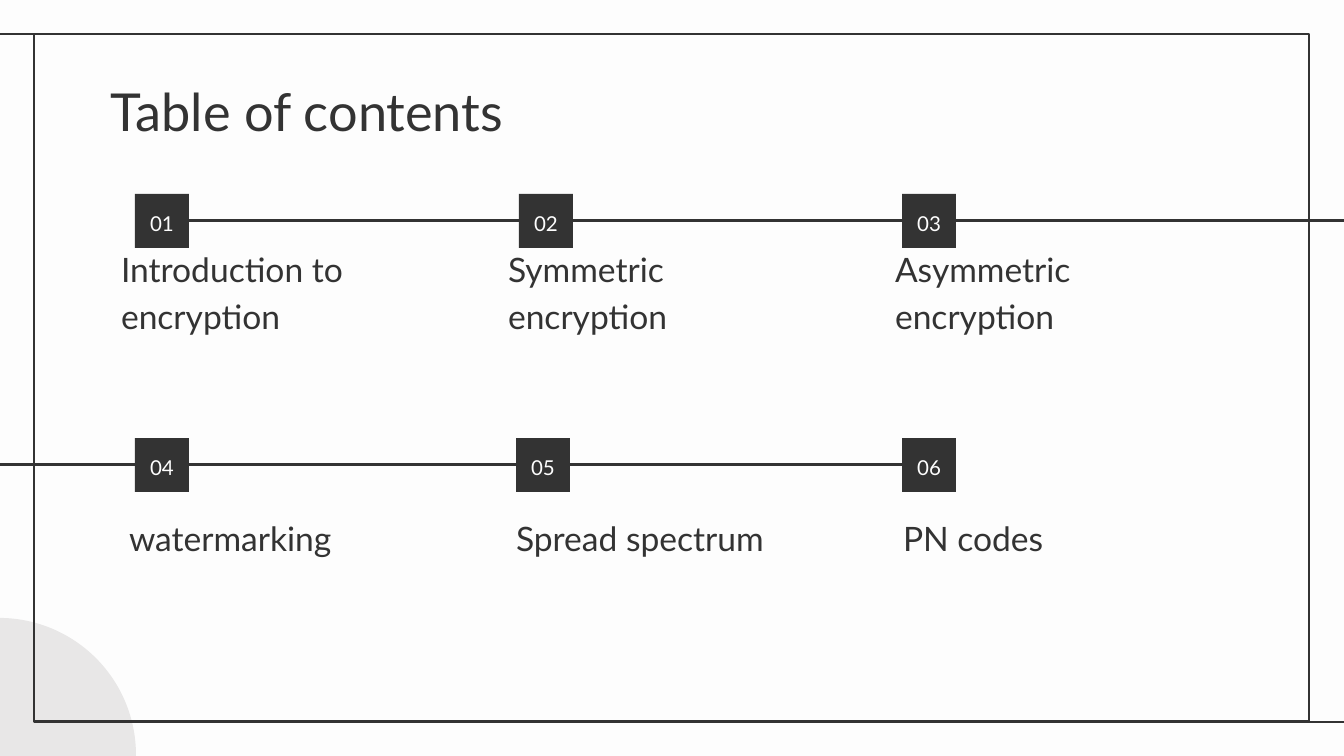
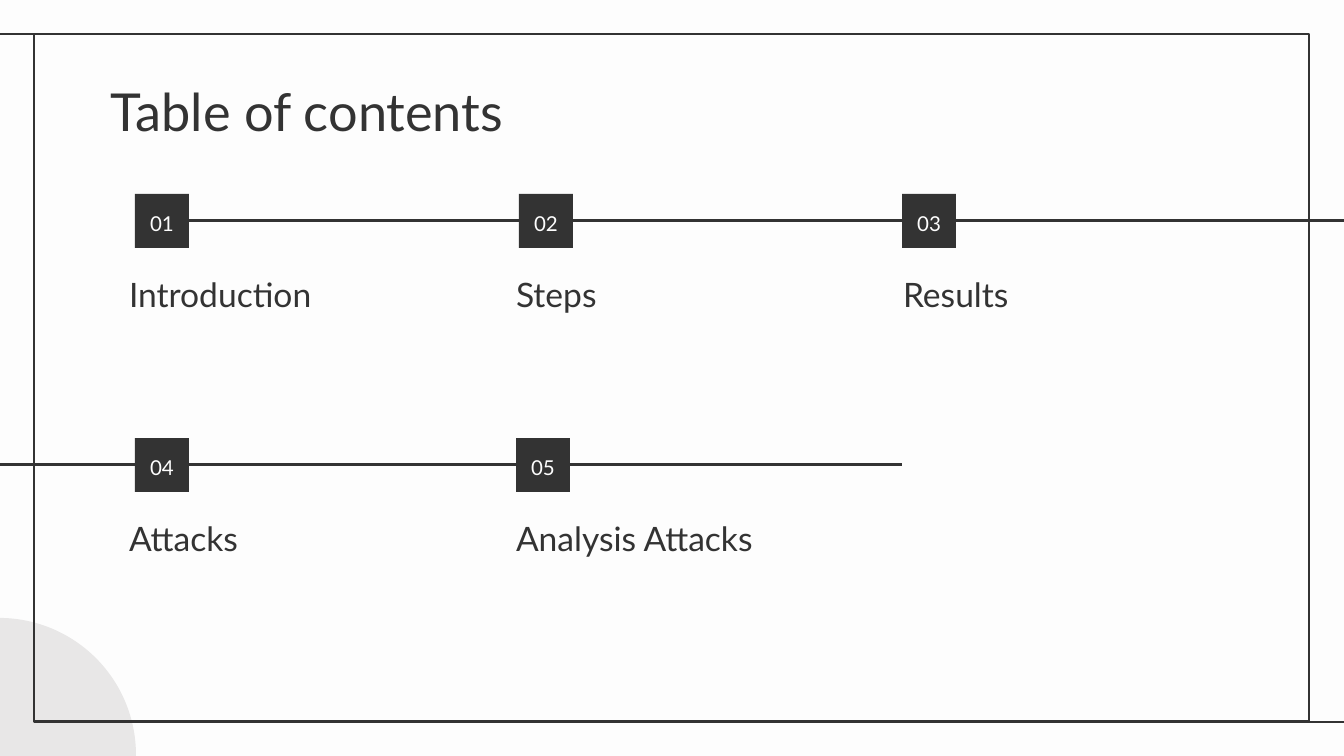
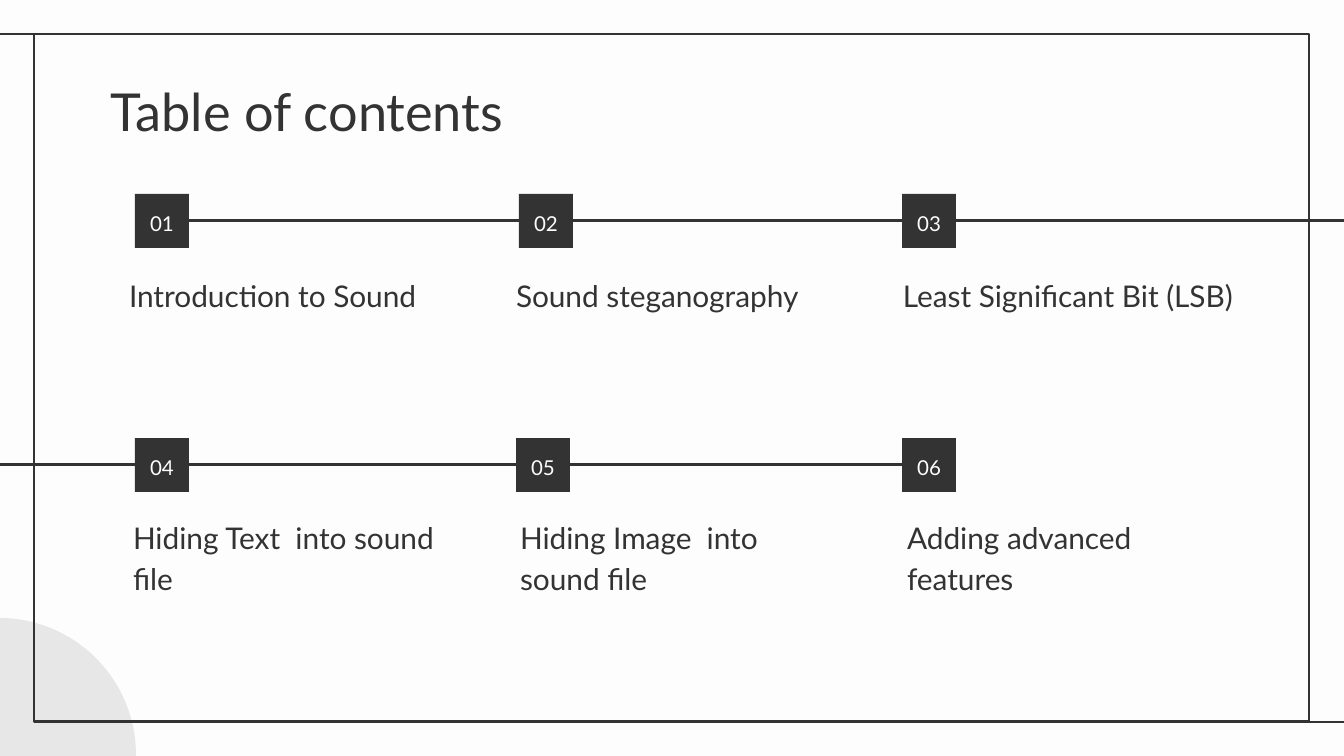
from lxml.etree import SubElement
from pptx import Presentation
from pptx.dml.color import RGBColor
from pptx.enum.shapes import MSO_CONNECTOR as Connector, MSO_SHAPE as Shape
from pptx.enum.text import MSO_ANCHOR as Anchor, PP_ALIGN as Align
from pptx.oxml.ns import qn
from pptx.util import Emu, Pt

TITLE = "Table of contents"
AGENDAS = [
    {
        "size": 18,
        "rows": [
            {"left": 108, "top": 293, "labels": ["Introduction to encryption", "Symmetric encryption", "Asymmetric encryption"]},
            {"left": 116, "top": 515, "labels": ["watermarking", "Spread spectrum", "PN codes"]},
        ],
    },
    {
        "size": 18,
        "rows": [
            {"left": 116, "top": 271, "labels": ["Introduction", "Steps", "Results"]},
            {"left": 116, "top": 515, "labels": ["Attacks", "Analysis Attacks"]},
        ],
    },
    {
        "size": 16,
        "rows": [
            {"left": 116, "top": 271, "labels": ["Introduction to Sound", "Sound steganography", "Least Significant Bit (LSB)"]},
            {"left": 120, "top": 554, "labels": ["Hiding Text  into sound file", "Hiding Image  into sound file", "Adding advanced features"]},
        ],
    },
]

DARK, LIGHT, GREY = "333333", "FDFDFD", "E8E7E7"
FONT = "Lato"
WIDTH, HEIGHT = 1344, 756
FRAME_LEFT, FRAME_TOP, FRAME_WIDTH, FRAME_HEIGHT = 34, 34, 1275, 688
FRAME_RIGHT, FRAME_BOTTOM = FRAME_LEFT + FRAME_WIDTH, FRAME_TOP + FRAME_HEIGHT
INSET = 13
BADGE = 54
LABEL_STEP, LABEL_WIDTH, WIDE_LABEL, LABEL_HEIGHT = 387, 339, 405, 56
LONG_LABEL = 25
TIMELINES = [
    {"badge_top": 194, "badge_lefts": [135, 519, 902], "line": (189, 1367)},
    {"badge_top": 438, "badge_lefts": [135, 516, 902], "line": (902, -24)},
]


def px(length):
    return Emu(round(length * 914400 / 134.4))


def color(value):
    return RGBColor.from_string(value)


def add_shape(slide, kind, left, top, width, height, fill=None, line=None):
    shape = slide.shapes.add_shape(kind, px(left), px(top), px(width), px(height))
    shape.shadow.inherit = False
    if fill:
        shape.fill.solid()
        shape.fill.fore_color.rgb = color(fill)
    else:
        shape.fill.background()
    if line:
        shape.line.color.rgb = color(line)
        shape.line.width = Pt(1.5)
    else:
        shape.line.fill.background()
    return shape


def add_line(slide, start, end, y):
    line = slide.shapes.add_connector(Connector.STRAIGHT, px(start), px(y), px(end), px(y))
    line.line.color.rgb = color(DARK)
    line.line.width = Pt(1.5)
    SubElement(line._element.spPr, qn("a:effectLst"))


def write(shape, text, size, ink=DARK, anchor=Anchor.TOP, align=Align.LEFT, spacing=1.15):
    frame = shape.text_frame
    frame.text = text
    frame.word_wrap = True
    frame.vertical_anchor = anchor
    frame.margin_left = frame.margin_right = frame.margin_top = frame.margin_bottom = px(INSET)
    paragraph = frame.paragraphs[0]
    paragraph.alignment = align
    paragraph.line_spacing = spacing
    font = paragraph.runs[0].font
    font.name = FONT
    font.size = Pt(size)
    font.color.rgb = color(ink)


def add_text(slide, left, top, width, height, text, size, **style):
    box = slide.shapes.add_textbox(px(left), px(top), px(width), px(height))
    write(box, text, size, **style)


def add_base(presentation):
    slide = presentation.slides.add_slide(presentation.slide_layouts[6])
    slide.background.fill.solid()
    slide.background.fill.fore_color.rgb = color(LIGHT)
    add_shape(slide, Shape.OVAL, -138, 618, 274, 274, fill=GREY)
    add_shape(slide, Shape.RECTANGLE, FRAME_LEFT, FRAME_TOP, FRAME_WIDTH, FRAME_HEIGHT, line=DARK)
    add_line(slide, FRAME_LEFT, -3, FRAME_TOP)
    add_line(slide, WIDTH + 4, FRAME_RIGHT, FRAME_BOTTOM)
    return slide


def add_agenda(presentation, agenda):
    slide = add_base(presentation)
    for timeline in TIMELINES:
        add_line(slide, *timeline["line"], timeline["badge_top"] + BADGE // 2 - 0.5)
    add_text(slide, 98, 66, 1133, 85, TITLE, 28, spacing=1)
    number = 0
    for timeline, row in zip(TIMELINES, agenda["rows"]):
        for column, label in enumerate(row["labels"]):
            number += 1
            badge = add_shape(slide, Shape.RECTANGLE, timeline["badge_lefts"][column],
                              timeline["badge_top"], BADGE, BADGE, fill=DARK)
            write(badge, f"{number:02}", 11, ink=LIGHT, anchor=Anchor.MIDDLE, align=Align.CENTER)
            width = WIDE_LABEL if column == 2 and len(label) > LONG_LABEL else LABEL_WIDTH
            add_text(slide, row["left"] + column * LABEL_STEP, row["top"], width, LABEL_HEIGHT,
                     label, agenda["size"], anchor=Anchor.BOTTOM)


def main():
    presentation = Presentation()
    presentation.slide_width = px(WIDTH)
    presentation.slide_height = px(HEIGHT)
    for agenda in AGENDAS:
        add_agenda(presentation, agenda)
    presentation.save("out.pptx")


if __name__ == "__main__":
    main()
